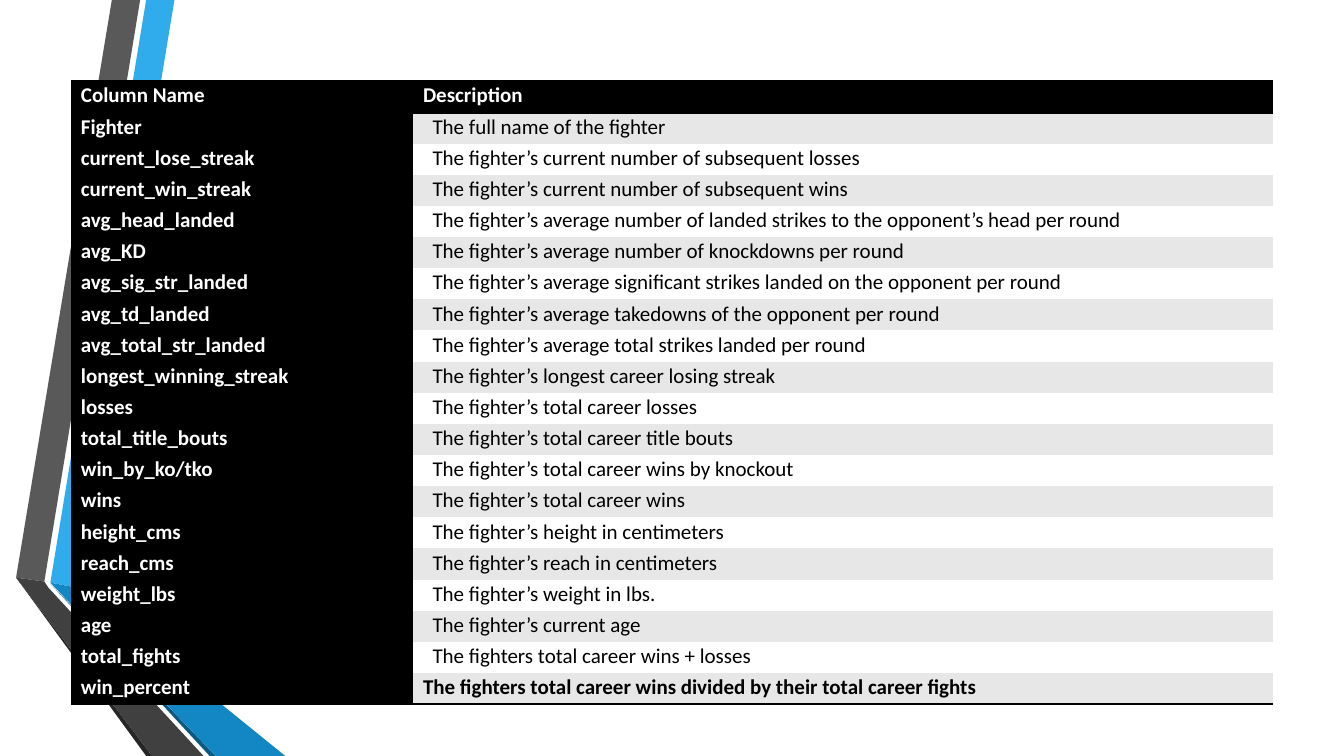
from lxml.etree import SubElement
from pptx import Presentation
from pptx.dml.color import RGBColor
from pptx.oxml import parse_xml
from pptx.oxml.ns import nsdecls, qn
from pptx.util import Pt

BLACK = RGBColor(0x00, 0x00, 0x00)
WHITE = RGBColor(0xFF, 0xFF, 0xFF)
BAND_GRAY = RGBColor(0xE7, 0xE7, 0xE7)
SKY = RGBColor(0x30, 0xAC, 0xEC)
BLUE = RGBColor(0x12, 0x87, 0xC3)
NAVY = RGBColor(0x0C, 0x5A, 0x82)
GRAY = RGBColor(0x59, 0x59, 0x59)
DARK_GRAY = RGBColor(0x40, 0x40, 0x40)
CHARCOAL = RGBColor(0x26, 0x26, 0x26)

NO_STYLE = "{2D5ABB26-0587-4C30-8999-92F81FD0307C}"

# Folded ribbons, back to front
RIBBONS = [
    (SKY, [(36, 416.2), (55.4, 419.8), (124.6, 0), (104.4, 0)]),
    (GRAY, [(100.1, 0), (79.9, 0), (11.5, 412.6), (31.7, 415.4)]),
    (CHARCOAL, [(11.5, 412.6), (104.4, 540), (108.7, 540)]),
    (NAVY, [(36, 416.9), (149.8, 540), (154.1, 540)]),
    (BLUE, [(36, 416.2), (154.1, 540), (203.8, 540), (55.4, 419.8)]),
    (DARK_GRAY, [(145.4, 540), (34.6, 419.8), (31.7, 415.4), (11.5, 412.6), (108.7, 540)]),
]

ROWS = [
    ("Column Name", "Description"),
    ("Fighter", "The full name of the fighter"),
    ("current_lose_streak", "The fighter’s current number of subsequent losses"),
    ("current_win_streak", "The fighter’s current number of subsequent wins"),
    ("avg_head_landed",
     "The fighter’s average number of landed strikes to the opponent’s head per round"),
    ("avg_KD", "The fighter’s average number of knockdowns per round"),
    ("avg_sig_str_landed",
     "The fighter’s average significant strikes landed on the opponent per round"),
    ("avg_td_landed", "The fighter’s average takedowns of the opponent per round"),
    ("avg_total_str_landed", "The fighter’s average total strikes landed per round"),
    ("longest_winning_streak", "The fighter’s longest career losing streak"),
    ("losses", "The fighter’s total career losses"),
    ("total_title_bouts", "The fighter’s total career title bouts"),
    ("win_by_ko/tko", "The fighter’s total career wins by knockout"),
    ("wins", "The fighter’s total career wins"),
    ("height_cms", "The fighter’s height in centimeters"),
    ("reach_cms", "The fighter’s reach in centimeters"),
    ("weight_lbs", "The fighter’s weight in lbs."),
    ("age", "The fighter’s current age"),
    ("total_fights", "The fighters total career wins + losses"),
    ("win_percent", "The fighters total career wins divided by their total career fights"),
]


class FighterPage:
    font_name = "Calibri"
    font_size = Pt(15)
    margin = 7.2
    indent = 6.8

    def __init__(self, page):
        self.page = page

    def ribbon(self, color, points):
        corners = [(Pt(x), Pt(y)) for x, y in points]
        builder = self.page.shapes.build_freeform(*corners[0])
        builder.add_line_segments(corners[1:], close=True)
        shape = builder.convert_to_shape()
        shape.shadow.inherit = False
        shape.fill.solid()
        shape.fill.fore_color.rgb = color
        shape.line.fill.background()

    def border(self, cell, side):
        line = parse_xml(f'<a:{side} {nsdecls("a")} w="{Pt(2)}"/>')
        fill = SubElement(line, qn("a:solidFill"))
        SubElement(fill, qn("a:srgbClr"), val=str(BLACK))
        cell._tc.get_or_add_tcPr().append(line)

    def cell(self, cell, text, fill, color, bold, indent, sides):
        for side in sides:
            self.border(cell, side)
        cell.fill.solid()
        cell.fill.fore_color.rgb = fill
        cell.margin_left = Pt(self.margin + indent)
        cell.margin_right = Pt(self.margin)
        cell.margin_top = cell.margin_bottom = 0
        cell.text = text
        para = cell.text_frame.paragraphs[0]
        para.line_spacing = 1.07
        para.font.name = self.font_name
        para.font.size = self.font_size
        para.font.bold = bold
        para.font.color.rgb = color

    def table(self, rows, left, top, widths, row_height):
        frame = self.page.shapes.add_table(
            len(rows), len(widths), Pt(left), Pt(top),
            Pt(sum(widths)), Pt(row_height * len(rows)))
        table = frame.table
        table._tbl.tblPr.find(qn("a:tableStyleId")).text = NO_STYLE
        for column, width in zip(table.columns, widths):
            column.width = Pt(width)
        last = len(rows) - 1
        for i, texts in enumerate(rows):
            table.rows[i].height = Pt(row_height)
            sides = {0: ("lnT", "lnB"), last: ("lnB",)}.get(i, ())
            for j, text in enumerate(texts):
                dark = i == 0 or j == 0
                band = BAND_GRAY if i % 2 else WHITE
                plain = not dark and i != last
                self.cell(table.cell(i, j), text,
                          fill=BLACK if dark else band,
                          color=WHITE if dark else BLACK,
                          bold=not plain,
                          indent=self.indent if plain else 0,
                          sides=sides)


def main():
    deck = Presentation()
    deck.slide_width, deck.slide_height = Pt(960), Pt(540)
    fighter_page = FighterPage(deck.slides.add_slide(deck.slide_layouts[6]))

    # Ribbons behind the table
    for color, points in RIBBONS:
        fighter_page.ribbon(color, points)

    # Column descriptions
    fighter_page.table(ROWS, left=50.6, top=58, widths=(244.4, 614.4), row_height=22.28)

    deck.save("out.pptx")


if __name__ == "__main__":
    main()
